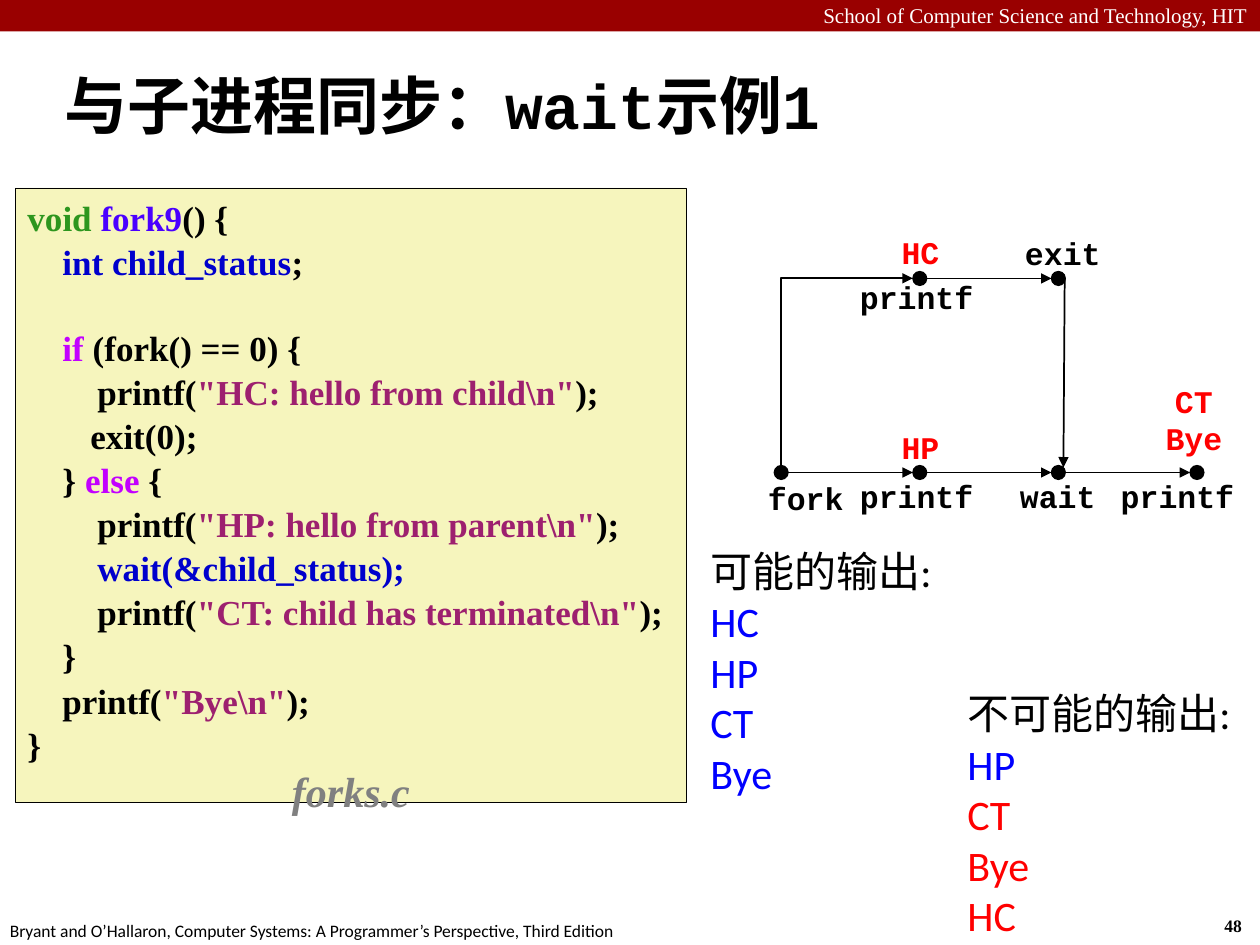
from dataclasses import dataclass

from lxml.etree import SubElement
from pptx import Presentation
from pptx.dml.color import RGBColor
from pptx.enum.shapes import MSO_CONNECTOR, MSO_SHAPE
from pptx.enum.text import MSO_ANCHOR, PP_ALIGN
from pptx.oxml.ns import qn
from pptx.util import Inches, Pt


@dataclass(frozen=True)
class Theme:
    black: str = "000000"
    white: str = "FFFFFF"
    banner: str = "990000"
    panel: str = "F6F5BD"
    green: str = "2D961E"
    violet: str = "4A00FF"
    navy: str = "0000CC"
    pink: str = "C200FF"
    plum: str = "9D206F"
    grey: str = "808080"
    red: str = "FF0000"
    blue: str = "0000FF"
    serif: str = "Times New Roman"
    sans: str = "Calibri"
    mono: str = "Courier New"
    title: int = 36
    large: int = 24
    code: int = 20
    label: int = 18
    head: int = 12
    foot: int = 10


T = Theme()

CODE = [
    [("void ", T.green), ("fork9", T.violet), ("() {", T.black)],
    [("    int child_status", T.navy), (";", T.black)],
    [("    if", T.pink), (" (fork() == 0) {", T.black)],
    [("        printf(", T.black), ('"HC: hello from child\\n"', T.plum), (");", T.black)],
    [("\texit(0);", T.black)],
    [("    } ", T.black), ("else", T.pink), (" {", T.black)],
    [("        printf(", T.black), ('"HP: hello from parent\\n"', T.plum), (");", T.black)],
    [("        wait(&child_status);", T.navy)],
    [("        printf(", T.black), ('"CT: child has terminated\\n"', T.plum), (");", T.black)],
    [("    }", T.black)],
    [("    printf(", T.black), ('"Bye\\n"', T.plum), (");", T.black)],
    [("}", T.black)],
]


def color(name):
    return RGBColor.from_string(name)


def style(para, size, face, tint=T.black, bold=False, align=PP_ALIGN.LEFT):
    para.alignment = align
    font = para.font
    font.size, font.name, font.bold = Pt(size), face, bold
    font.color.rgb = color(tint)


def write(slide, box, lines, size, face, bold=False, align=PP_ALIGN.LEFT, wrap=True):
    """Add a text box; each line is a pair of text and colour."""
    frame = slide.shapes.add_textbox(*map(Inches, box)).text_frame
    frame.word_wrap = wrap
    for i, (text, tint) in enumerate(lines):
        para = frame.add_paragraph() if i else frame.paragraphs[0]
        para.text = text
        style(para, size, face, tint, bold, align)
    return frame


def solid(slide, kind, box, fill, line=None, width=0.75):
    shape = slide.shapes.add_shape(kind, *map(Inches, box))
    shape.shadow.inherit = False
    shape.fill.solid()
    shape.fill.fore_color.rgb = color(fill)
    if line:
        shape.line.color.rgb = color(line)
        shape.line.width = Pt(width)
    else:
        shape.line.fill.background()
    return shape


def arrow(slide, start, end, kind=MSO_CONNECTOR.STRAIGHT):
    link = slide.shapes.add_connector(kind, *map(Inches, (*start, *end)))
    link.line.color.rgb = color(T.black)
    link.line.width = Pt(1)
    SubElement(link.line._get_or_add_ln(), qn("a:tailEnd"), type="triangle")
    props = link._element.spPr
    SubElement(props, qn("a:effectLst"))
    if kind == MSO_CONNECTOR.ELBOW:
        # Put the bend at the start, so the line rises before it turns.
        guides = props.find(qn("a:prstGeom")).find(qn("a:avLst"))
        SubElement(guides, qn("a:gd"), name="adj1", fmla="val 0")


def frame_page(slide, box):
    """Add the banner at the top and the credit and number at the foot."""
    left, top, width, height = box
    solid(slide, MSO_SHAPE.RECTANGLE, (left, top, width, 0.25), T.banner)
    write(slide, (left, top - 0.03, width, 0.3),
          [("School of Computer Science and Technology, HIT", T.white)],
          T.head, T.serif, align=PP_ALIGN.RIGHT)
    write(slide, (left + width - 0.38, top + height - 0.29, 0.37, 0.27),
          [("48", T.black)], T.foot, T.serif, bold=True, wrap=False)
    write(slide, (left - 0.02, top + height - 0.25, 5.08, 0.27),
          [("Bryant and O’Hallaron, Computer Systems: "
            "A Programmer’s Perspective, Third Edition", T.black)],
          T.foot, T.sans, wrap=False)


def add_title(slide, box):
    frame = write(slide, box, [("与子进程同步：", T.black)], T.title, T.sans, bold=True)
    frame.vertical_anchor = MSO_ANCHOR.MIDDLE
    run = frame.paragraphs[0].add_run()
    run.text = "wait示例1"
    run.font.name = T.mono


def add_code(slide, box):
    panel = solid(slide, MSO_SHAPE.RECTANGLE, box, T.panel, T.black, 0.25)
    frame = panel.text_frame
    frame.word_wrap = False
    frame.vertical_anchor = MSO_ANCHOR.TOP
    for i, line in enumerate(CODE):
        para = frame.add_paragraph() if i else frame.paragraphs[0]
        style(para, T.code, T.serif, bold=True)
        para.line_spacing = 1.05
        if i == 2:
            para.space_before = Pt(24)
        for text, tint in line:
            run = para.add_run()
            run.text = text
            run.font.color.rgb = color(tint)
    name = frame.add_paragraph()
    name.text = "forks.c"
    style(name, T.large, T.serif, T.grey, True, PP_ALIGN.CENTER)
    name.font.italic = True


def add_graph(slide, box):
    """Draw the process graph: child on the top row, parent below."""
    left, top, width, height = box
    step, dot = width / 3, 0.11
    low = top + height
    cols = [left + step * i for i in range(4)]
    rows = [(top, cols[1:3]), (low, cols)]
    for y, spots in rows:
        for x in spots:
            solid(slide, MSO_SHAPE.OVAL, (x - dot / 2, y - dot / 2, dot, dot),
                  T.black, T.black)
        for x, after in zip(spots, spots[1:]):
            arrow(slide, (x + dot / 2, y), (after - dot / 2, y))
    arrow(slide, (left, low - dot / 2), (cols[1] - dot / 2, top), MSO_CONNECTOR.ELBOW)
    arrow(slide, (cols[2] + 0.05, top), (cols[2] + 0.04, low - 0.04))

    calls = [("printf", cols[1] - 0.02, top - 0.05), ("exit", cols[2] + 0.04, top - 0.4),
             ("fork", left + 0.2, low), ("printf", cols[1] - 0.02, low - 0.01),
             ("wait", cols[2], low - 0.01), ("printf", cols[3] - 0.15, low - 0.01)]
    prints = [("HC", cols[1] + 0.01, top - 0.41), ("HP", cols[1] + 0.01, low - 0.4),
              ("CT Bye", cols[3] - 0.02, low - 0.77)]
    for text, x, y in calls:
        write(slide, (x - 0.57, y, 1.13, 0.4), [(text, T.black)],
              T.label, T.mono, True, PP_ALIGN.CENTER)
    for text, x, y in prints:
        words = text.split()
        write(slide, (x - 0.33, y, 0.65, 0.1 + 0.3 * len(words)),
              [(word, T.red) for word in words],
              T.label, T.mono, True, PP_ALIGN.CENTER, False)


def add_output(slide, box, head, lines):
    write(slide, box, [(head, T.black), *lines], T.large, T.sans)


def main():
    deck = Presentation()
    deck.slide_width, deck.slide_height = Inches(10), Inches(7.5)
    slide = deck.slides.add_slide(deck.slide_layouts[6])
    frame_page(slide, (0, 0, 10, 7.5))
    add_title(slide, (0.41, 0.41, 9.51, 0.83))
    add_code(slide, (0.12, 1.49, 5.33, 4.88))
    add_graph(slide, (6.2, 2.21, 3.3, 1.54))
    add_output(slide, (5.54, 4.28, 2.25, 2.12), "可能的输出:",
               [(word, T.blue) for word in ("HC", "HP", "CT", "Bye")])
    add_output(slide, (7.58, 5.41, 2.64, 2.12), "不可能的输出:",
               [("HP", T.blue), ("CT", T.red), ("Bye", T.red), ("HC", T.red)])
    deck.save("out.pptx")


if __name__ == "__main__":
    main()
